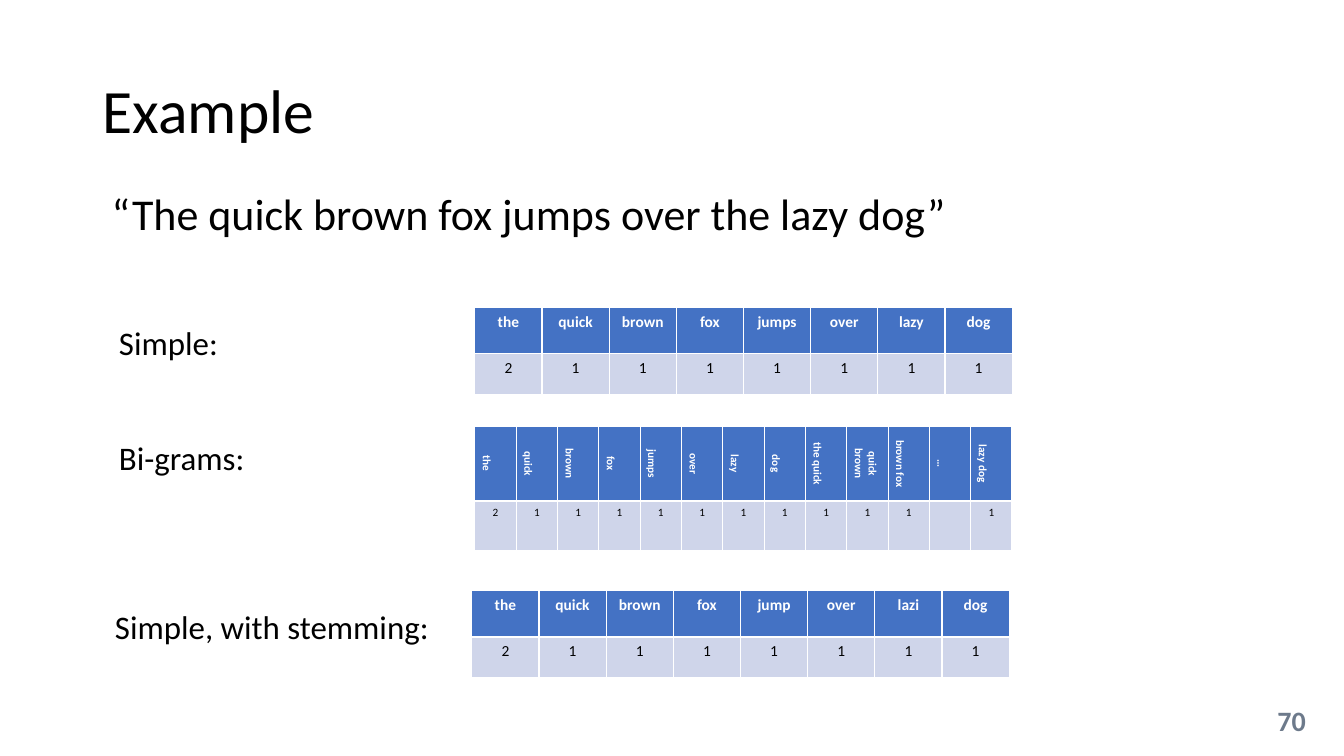
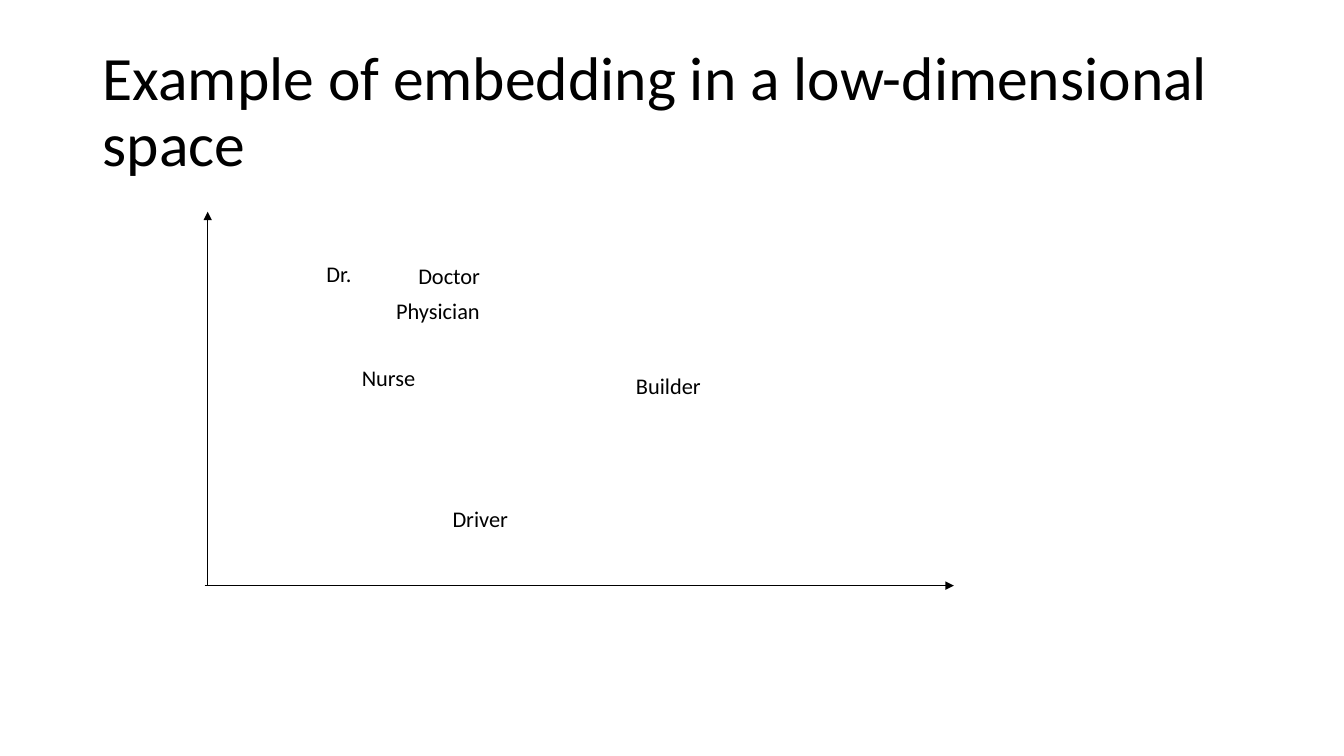
from dataclasses import dataclass

from lxml import etree
from pptx import Presentation
from pptx.dml.color import RGBColor
from pptx.enum.shapes import MSO_CONNECTOR
from pptx.enum.text import MSO_ANCHOR, MSO_AUTO_SIZE, PP_ALIGN
from pptx.oxml.ns import qn
from pptx.slide import Slide
from pptx.text.text import TextFrame, _Paragraph
from pptx.util import Inches, Pt

STRAIGHT = MSO_CONNECTOR.STRAIGHT
MIDDLE = MSO_ANCHOR.MIDDLE
GROW = MSO_AUTO_SIZE.SHAPE_TO_FIT_TEXT
CENTER = PP_ALIGN.CENTER

FONT = "Calibri"
COLORS = {
    "ink": "000000",
    "paper": "FFFFFF",
    "head": "4472C4",
    "band": "CFD5EA",
    "page": "6D7A8B",
}
TABLE_WIDTH = 5.33


@dataclass
class Label:
    text: str
    left: float
    top: float
    width: float


@dataclass
class Counts:
    label: Label
    left: float
    top: float
    heights: tuple[float, float]
    size: float
    words: list[str]
    upright: bool = True


PLAIN = (0.46, 0.4)
TALL = (0.74, 0.49)
WORDS = ["the", "quick", "brown", "fox", "jumps", "over", "lazy", "dog"]
STEMS = ["the", "quick", "brown", "fox", "jump", "over", "lazi", "dog"]
PAIRS = ["the quick", "quick brown", "brown fox", "…", "lazy dog"]

TABLES = [
    Counts(Label("Simple:", 0.98, 3.09, 1.53), 4.71, 3.05, PLAIN, 11, WORDS),
    Counts(Label("Bi-grams:", 0.98, 4.23, 1.83), 4.71, 4.23, TALL, 8,
           WORDS + PAIRS, upright=False),
    Counts(Label("Simple, with stemming:", 0.94, 5.9, 3.91), 4.68, 5.86,
           PLAIN, 11, STEMS),
]

JOBS = [
    Label("Doctor", 4.05, 2.55, 0.91),
    Label("Physician", 3.83, 2.9, 1.15),
    Label("Dr.", 3.14, 2.53, 0.5),
    Label("Nurse", 3.49, 3.56, 0.81),
    Label("Builder", 6.21, 3.64, 0.94),
    Label("Driver", 4.39, 4.96, 0.83),
]

AXES = [((2.03, 5.81), (9.46, 5.81)), ((2.06, 5.81), (2.06, 2.1))]


def rgb(name: str) -> RGBColor:
    return RGBColor.from_string(COLORS[name])


def style(para: _Paragraph, size: float, color: str = "ink",
          bold: bool = False) -> None:
    for run in para.runs:
        run.font.name = FONT
        run.font.size = Pt(size)
        run.font.bold = bold
        run.font.color.rgb = rgb(color)


def add_text(slide: Slide, label: Label, height: float, size: float,
             color: str = "ink", bold: bool = False) -> TextFrame:
    box = slide.shapes.add_textbox(Inches(label.left), Inches(label.top),
                                   Inches(label.width), Inches(height))
    frame = box.text_frame
    frame.word_wrap = True
    frame.text = label.text
    style(frame.paragraphs[0], size, color, bold)
    return frame


def add_title(slide: Slide, text: str) -> None:
    frame = add_text(slide, Label(text, 0.92, 0.4, 11.5), 1.45, 44)
    frame.vertical_anchor = MIDDLE
    frame.paragraphs[0].line_spacing = 0.9


def add_tag(slide: Slide, label: Label, height: float,
            size: float) -> TextFrame:
    """Add a one-line label that fits its text."""
    frame = add_text(slide, label, height, size)
    frame.word_wrap = False
    frame.auto_size = GROW
    return frame


def add_counts(slide: Slide, item: Counts) -> None:
    """Add a table of word counts with its label on the left."""
    frame = add_tag(slide, item.label, 0.67, 23.5)
    frame.margin_left = frame.margin_right = Inches(0.2)
    frame.margin_top = frame.margin_bottom = Inches(0.16)
    para = frame.paragraphs[0]
    para.line_spacing = 0.9
    para.space_after = Pt(5.9)

    total = len(item.words)
    table = slide.shapes.add_table(
        2, total, Inches(item.left), Inches(item.top),
        Inches(TABLE_WIDTH), Inches(sum(item.heights))).table
    for row, height in zip(table.rows, item.heights):
        row.height = Inches(height)
    for col, word in enumerate(item.words):
        table.columns[col].width = Inches(TABLE_WIDTH / total)
        count = {"the": "2", "…": ""}.get(word, "1")
        for row, text in enumerate((word, count)):
            head = row == 0
            cell = table.cell(row, col)
            cell.fill.solid()
            cell.fill.fore_color.rgb = rgb("head" if head else "band")
            cell.text_frame.text = text
            para = cell.text_frame.paragraphs[0]
            para.alignment = CENTER
            style(para, item.size, "paper" if head else "ink", head)
            if head and not item.upright:
                cell._tc.get_or_add_tcPr().set("vert", "vert")


def add_arrow(slide: Slide, start: tuple[float, float],
              end: tuple[float, float]) -> None:
    points = [Inches(value) for value in (*start, *end)]
    arrow = slide.shapes.add_connector(STRAIGHT, *points)
    arrow.line.color.rgb = rgb("ink")
    arrow.line.width = Pt(1)
    props = arrow._element.spPr
    tip = etree.SubElement(props.find(qn("a:ln")), qn("a:tailEnd"))
    tip.set("type", "triangle")
    etree.SubElement(props, qn("a:effectLst"))


def build_counts(slide: Slide) -> None:
    add_title(slide, "Example")
    quote = Label("“The quick brown fox jumps over the lazy dog”",
                  1.01, 1.86, 10.98)
    add_text(slide, quote, 1.05, 31.4).paragraphs[0].line_spacing = 0.9
    for item in TABLES:
        add_counts(slide, item)
    page = add_text(slide, Label("70", 12.54, 6.93, 0.54), 0.57, 20,
                    "page", True)
    page.paragraphs[0].alignment = CENTER


def build_space(slide: Slide) -> None:
    add_title(slide, "Example of embedding in a low-dimensional space")
    for start, end in AXES:
        add_arrow(slide, start, end)
    for job in JOBS:
        add_tag(slide, job, 0.37, 16)


def main() -> None:
    deck = Presentation()
    deck.slide_width = Inches(13.33)
    deck.slide_height = Inches(7.5)
    blank = deck.slide_layouts[6]
    for build in (build_counts, build_space):
        build(deck.slides.add_slide(blank))
    deck.save("out.pptx")


if __name__ == "__main__":
    main()
